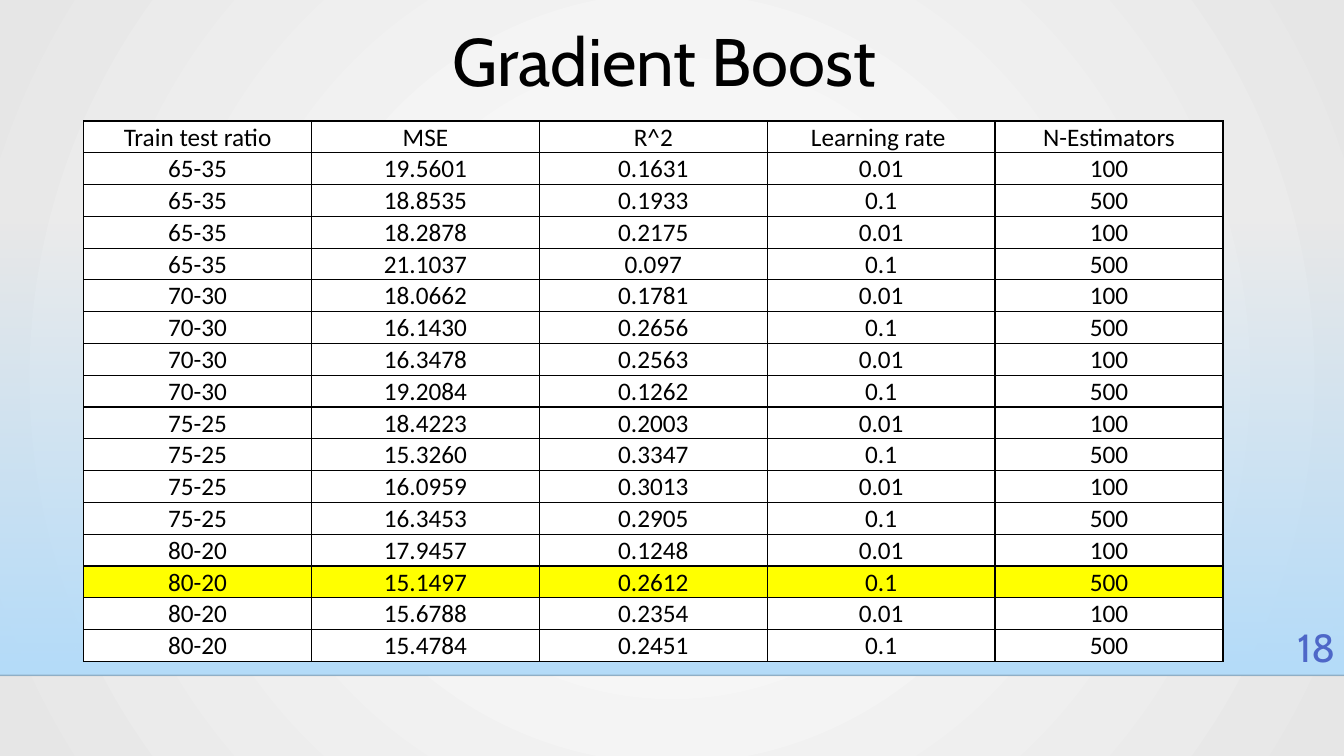
"""Build the Gradient Boost results slide."""
from lxml.etree import SubElement
from pptx import Presentation
from pptx.dml.color import RGBColor
from pptx.enum.shapes import MSO_CONNECTOR, MSO_SHAPE
from pptx.enum.text import MSO_ANCHOR, MSO_AUTO_SIZE, PP_ALIGN
from pptx.oxml.ns import qn
from pptx.util import Inches, Pt


def paint(color, value, alpha=None):
    color.rgb = RGBColor.from_string(value)
    if alpha is not None:
        tone = color._xFill.find(qn("a:srgbClr")) if hasattr(color, "_xFill") else None
        if tone is not None:
            SubElement(tone, qn("a:alpha"), val=str(alpha * 1000))


def write(frame, text, size, font, color, align):
    para = frame.paragraphs[0]
    para.alignment = align
    run = para.add_run()
    run.text = text
    run.font.size = Pt(size)
    run.font.name = font
    paint(run.font.color, color)


deck = Presentation()
deck.slide_width, deck.slide_height = Inches(13.33), Inches(7.5)
slide = deck.slides.add_slide(deck.slide_layouts[5])

back = slide.background.fill
back.gradient()
for stop, tone in zip(back.gradient_stops, ("FFFFFF", "E6E6E6")):
    paint(stop.color, tone)
grad = slide.element.find(".//" + qn("a:gradFill"))
grad.remove(grad.find(qn("a:lin")))
ring = SubElement(grad, qn("a:path"), path="circle")
SubElement(ring, qn("a:fillToRect"), l="50000", t="50000", r="50000", b="50000")

band = slide.shapes.add_shape(
    MSO_SHAPE.RECTANGLE, 0, Inches(2.21), Inches(13.33), Inches(4.49))
band.shadow.inherit = False
band.line.fill.background()
band.fill.gradient()
band.fill.gradient_angle = 270
for stop in band.fill.gradient_stops:
    paint(stop.color, "B4DCFA")
clear = band.element.find(".//" + qn("a:srgbClr"))
SubElement(clear, qn("a:alpha"), val="0")

rule = slide.shapes.add_connector(
    MSO_CONNECTOR.STRAIGHT, 0, Inches(6.7), Inches(13.33), Inches(6.7))
rule.line.width = Pt(1)
paint(rule.line.color, "000001")
SubElement(rule.element.find(".//" + qn("a:srgbClr")), qn("a:alpha"), val="20000")
SubElement(rule.element.spPr, qn("a:effectLst"))

title = slide.shapes.title
title.left, title.top = 0, Inches(0.14)
title.width, title.height = Inches(13.33), Inches(0.91)
title.text_frame.auto_size = MSO_AUTO_SIZE.NONE
title.text_frame.vertical_anchor = MSO_ANCHOR.MIDDLE
write(title.text_frame, "Gradient Boost ", 48, "Cabin", "000000", PP_ALIGN.CENTER)

heads = ("Train test ratio", "MSE", "R^2", "Learning rate ", "N-Estimators")
scores = {
    "65-35": (("19.5601", "0.1631"), ("18.8535", "0.1933"),
              ("18.2878", "0.2175"), ("21.1037", "0.097")),
    "70-30": (("18.0662", "0.1781"), ("16.1430", "0.2656"),
              ("16.3478", "0.2563"), ("19.2084", "0.1262")),
    "75-25": (("18.4223", "0.2003"), ("15.3260", "0.3347"),
              ("16.0959", "0.3013"), ("16.3453", "0.2905")),
    "80-20": (("17.9457", "0.1248"), ("15.1497", "0.2612"),
              ("15.6788", "0.2354"), ("15.4784", "0.2451")),
}
modes = (("0.01", "100"), ("0.1", "500"))
rows = [heads]
for ratio, pairs in scores.items():
    for i, pair in enumerate(pairs):
        rows.append((ratio, *pair, *modes[i % 2]))
best = "15.1497"

table = slide.shapes.add_table(
    len(rows), len(heads), Inches(0.83), Inches(1.2), Inches(11.3), Inches(4.91)).table
table.first_row = table.horz_banding = False
for col in table.columns:
    col.width = Inches(2.26)
for r, row in enumerate(rows):
    table.rows[r].height = Inches(0.29 if r else 0.27)
    for c, text in enumerate(row):
        cell = table.cell(r, c)
        cell.margin_left = cell.margin_right = cell.margin_top = Inches(0.01)
        cell.margin_bottom = 0
        cell.vertical_anchor = MSO_ANCHOR.BOTTOM
        write(cell.text_frame, text, 18, "Calibri", "000000", PP_ALIGN.CENTER)
        props = cell._tc.get_or_add_tcPr()
        for side in ("lnL", "lnR", "lnT", "lnB"):
            edge = SubElement(props, qn("a:" + side), w=str(Pt(1)))
            SubElement(SubElement(edge, qn("a:solidFill")), qn("a:srgbClr"), val="000000")
        cell.fill.solid()
        paint(cell.fill.fore_color, "FFFF00" if best in row else "FFFFFF")

page = slide.shapes.add_textbox(
    Inches(12.45), Inches(6.14), Inches(0.89), Inches(0.55)).text_frame
page.word_wrap = True
page.vertical_anchor = MSO_ANCHOR.MIDDLE
write(page, "18", 28, "Cabin", "4E67C8", PP_ALIGN.RIGHT)

deck.save("out.pptx")
